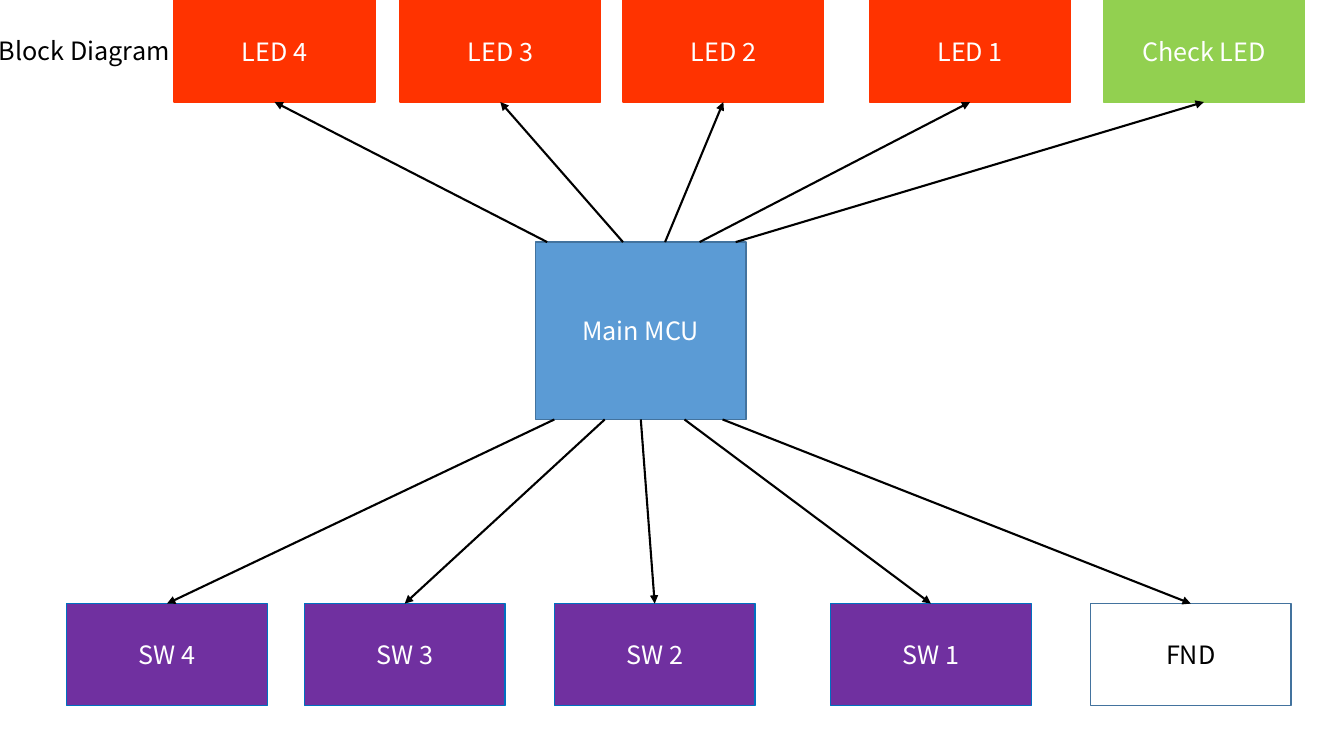
from dataclasses import dataclass

from pptx import Presentation
from pptx.dml.color import RGBColor
from pptx.enum.shapes import MSO_CONNECTOR, MSO_SHAPE
from pptx.enum.text import MSO_ANCHOR, MSO_AUTO_SIZE, PP_ALIGN
from pptx.oxml.ns import qn
from pptx.util import Cm, Pt
from lxml.etree import SubElement


@dataclass(frozen=True)
class Theme:
    """Colours, type and line sizes of the diagram."""
    font: str = "Noto Sans CJK KR"
    size: float = 18
    border: float = 1
    arrow: float = 1.5
    white: str = "FFFFFF"
    black: str = "000000"
    blue: str = "5B9BD5"
    steel: str = "43739E"
    red: str = "FF3300"
    green: str = "92D050"
    purple: str = "7030A0"
    azure: str = "0070C0"


T = Theme()
BLOCK_W, BLOCK_H = 5.06, 2.57
MCU_X, MCU_Y, MCU_W, MCU_H = 13.49, 6.1, 5.31, 4.47
LED_Y, SW_Y = 0, 15.21
TOP_SITE, BOTTOM_SITE = 0, 2

LED = (T.red, T.red, T.white)
CHECK = (T.green, T.green, T.white)
SWITCH = (T.purple, T.azure, T.white)
DISPLAY = (T.white, T.steel, T.black)
MCU = (T.blue, T.steel, T.white)

OUTPUTS = [
    ("LED 4", 4.39, 13.79, LED),
    ("LED 3", 10.08, 15.7, LED),
    ("LED 2", 15.7, 16.76, LED),
    ("LED 1", 21.92, 17.63, LED),
    ("Check LED", 27.81, 18.54, CHECK),
]
INPUTS = [
    ("SW 4", 1.68, 13.97, SWITCH),
    ("SW 3", 7.67, 15.24, SWITCH),
    ("SW 2", 13.97, 16.15, SWITCH),
    ("SW 1", 20.93, 17.25, SWITCH),
    ("FND", 27.48, 18.21, DISPLAY),
]


def set_attrs(obj, values):
    """Set every attribute named in a dict of format values."""
    for name, value in values.items():
        setattr(obj, name, value)


def write(sp, text, color, align):
    """Put one formatted line of text into a shape."""
    tf = sp.text_frame
    set_attrs(tf, {"word_wrap": True, "vertical_anchor": MSO_ANCHOR.MIDDLE})
    p = tf.paragraphs[0]
    set_attrs(p, {"alignment": align, "line_spacing": 1.0})
    r = p.add_run()
    r.text = text
    set_attrs(r.font, {"name": T.font, "size": Pt(T.size)})
    r.font.color.rgb = RGBColor.from_string(color)


def set_line(line, color, width):
    """Give an outline its colour and width."""
    line.color.rgb = RGBColor.from_string(color)
    line.width = Pt(width)


def add_title(s, text):
    """Place the slide title beside the top row."""
    sp = s.shapes.title
    set_attrs(sp, {"left": Cm(-0.28), "top": Cm(0.76),
                   "width": Cm(5.11), "height": Cm(1.02)})
    write(sp, text, T.black, PP_ALIGN.LEFT)
    sp.text_frame.auto_size = MSO_AUTO_SIZE.SHAPE_TO_FIT_TEXT


def add_block(s, text, x, y, w, h, style):
    """Add a labelled rectangle."""
    fill, border, color = style
    sp = s.shapes.add_shape(MSO_SHAPE.RECTANGLE, Cm(x), Cm(y), Cm(w), Cm(h))
    sp.shadow.inherit = False
    sp.fill.solid()
    sp.fill.fore_color.rgb = RGBColor.from_string(fill)
    set_line(sp.line, border, T.border)
    write(sp, text, color, PP_ALIGN.CENTER)
    return sp


def add_arrow(s, x, y, target, site):
    """Draw an arrow from a point to a connection site of a block."""
    c = s.shapes.add_connector(MSO_CONNECTOR.STRAIGHT, Cm(x), Cm(y), Cm(x), Cm(y))
    c.end_connect(target, site)
    set_line(c.line, T.black, T.arrow)
    SubElement(c.line._get_or_add_ln(), qn("a:tailEnd"), type="triangle")
    SubElement(c._element.spPr, qn("a:effectLst"))


def add_row(s, blocks, y, start_y, site):
    """Add a row of blocks, each with an arrow from the controller."""
    for text, x, start_x, style in blocks:
        sp = add_block(s, text, x, y, BLOCK_W, BLOCK_H, style)
        add_arrow(s, start_x, start_y, sp, site)


def main():
    """Build the block diagram slide."""
    prs = Presentation()
    set_attrs(prs, {"slide_width": Cm(33.87), "slide_height": Cm(19.05)})
    s = prs.slides.add_slide(prs.slide_layouts[5])
    add_title(s, "Block Diagram")
    add_block(s, "Main MCU", MCU_X, MCU_Y, MCU_W, MCU_H, MCU)
    add_row(s, OUTPUTS, LED_Y, MCU_Y, BOTTOM_SITE)
    add_row(s, INPUTS, SW_Y, MCU_Y + MCU_H, TOP_SITE)
    prs.save("out.pptx")


main()
